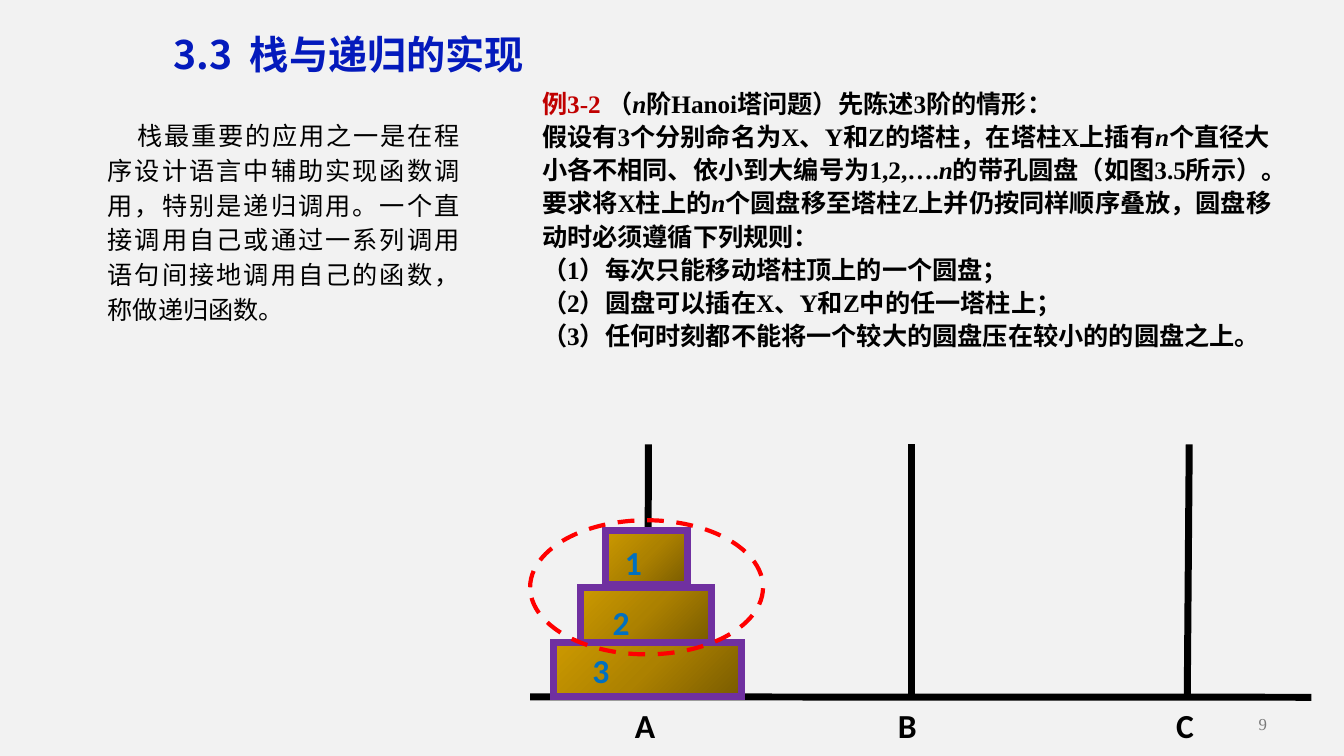
import copy
import dataclasses

import pptx
import pptx.dml.color
import pptx.enum.dml
import pptx.enum.shapes
import pptx.enum.text
import pptx.oxml.ns
import pptx.util
import lxml.etree

Cm = pptx.util.Cm
Pt = pptx.util.Pt
RGB = pptx.dml.color.RGBColor.from_string
qn = pptx.oxml.ns.qn
Align = pptx.enum.text.PP_ALIGN
Anchor = pptx.enum.text.MSO_ANCHOR
Shape = pptx.enum.shapes.MSO_SHAPE


@dataclasses.dataclass(frozen=True)
class Theme:
    background: str = "F2F2F2"
    ink: str = "000000"
    title: str = "041ABC"
    accent: str = "C00000"
    number: str = "0070C0"
    page: str = "797979"
    disk_line: str = "7030A0"
    disk_fill: tuple = ((0, "795B00"), (0.5, "AC8100"), (1, "CC9900"))
    highlight: str = "FF0000"
    serif: str = "Times New Roman"
    chinese: str = "Noto Sans CJK SC"
    label: str = "Calibri"
    title_size: int = 28
    label_size: int = 24
    body_size: int = 18
    page_size: int = 12


theme = Theme()


def place(shape, left, top, width, height, wrap=True, anchor=Anchor.TOP):
    shape.left, shape.top = Cm(left), Cm(top)
    shape.width, shape.height = Cm(width), Cm(height)
    frame = shape.text_frame
    frame.word_wrap = wrap
    frame.auto_size = pptx.enum.text.MSO_AUTO_SIZE.NONE
    frame.vertical_anchor = anchor
    return frame


def style(paragraph, font_name, size, color, bold=False, align=Align.LEFT):
    paragraph.alignment = align
    font = paragraph.font
    font.name = font_name
    font.size = Pt(size)
    font.bold = bold
    font.color.rgb = RGB(color)
    properties = paragraph._p.pPr.find(qn("a:defRPr"))
    east_asian = lxml.etree.Element(qn("a:ea"), typeface=theme.chinese)
    properties.find(qn("a:latin")).addnext(east_asian)


presentation = pptx.Presentation()
presentation.slide_width = Cm(33.87)
presentation.slide_height = Cm(19.05)
slide = presentation.slides.add_slide(presentation.slide_layouts[1])
slide.background.fill.solid()
slide.background.fill.fore_color.rgb = RGB(theme.background)
shapes = slide.shapes

page_box = shapes.add_textbox(0, 0, 0, 0)
frame = place(page_box, 24.56, 17.73, 7.62, 1.02, anchor=Anchor.MIDDLE)
frame.text = "9"
style(frame.paragraphs[0], theme.serif, theme.page_size, theme.page, align=Align.RIGHT)

frame = place(slide.placeholders[1], 2.46, 2.79, 9.38, 5.51)
frame.text = (
    "栈最重要的应用之一是在程序设计语言中辅助实现函数调用，特别是递归调用。"
    "一个直接调用自己或通过一系列调用语句间接地调用自己的函数，称做递归函数。"
)
paragraph = frame.paragraphs[0]
properties = paragraph._p.get_or_add_pPr()
properties.set("marL", "0")
properties.set("indent", str(Cm(0.74)))
lxml.etree.SubElement(properties, qn("a:buNone"))
paragraph.space_before = Pt(0)
paragraph.line_spacing = 1.15
style(paragraph, theme.serif, theme.body_size, theme.ink, align=Align.JUSTIFY)

frame = place(shapes.title, 3.73, 0.64, 10.11, 1.45)
frame.text = "3.3  栈与递归的实现"
style(frame.paragraphs[0], theme.chinese, theme.title_size, theme.title, True, Align.CENTER)

example_lines = [
    ["例3-2 ", "（", "n", "阶Hanoi塔问题）先陈述3阶的情形："],
    ["假设有3个分别命名为X、Y和Z的塔柱，在塔柱X上插有", "n", "个直径大"],
    ["小各不相同、依小到大编号为1,2,….", "n", "的带孔圆盘（如图3.5所示）。"],
    ["要求将X柱上的", "n", "个圆盘移至塔柱Z上并仍按同样顺序叠放，圆盘移"],
    ["动时必须遵循下列规则："],
    ["（1）每次只能移动塔柱顶上的一个圆盘；"],
    ["（2）圆盘可以插在X、Y和Z中的任一塔柱上；"],
    ["（3）任何时刻都不能将一个较大的圆盘压在较小的的圆盘之上。"],
]
example_box = shapes.add_textbox(0, 0, 0, 0)
frame = place(example_box, 13.41, 2.01, 19.58, 6.96, anchor=Anchor.MIDDLE)
for index, pieces in enumerate(example_lines):
    paragraph = frame.add_paragraph() if index else frame.paragraphs[0]
    paragraph._p.get_or_add_pPr().set("hangingPunct", "0")
    paragraph.line_spacing = 1.1
    style(paragraph, theme.serif, theme.body_size, theme.ink, True)
    for piece in pieces:
        run = paragraph.add_run()
        run.text = piece
        if piece == "n":
            run.font.italic = True
        if piece.startswith("例"):
            run.font.color.rgb = RGB(theme.accent)

connectors = []
for start_x, start_y, end_x, end_y in [
    (13.36, 17.56, 33.05, 17.57),
    (16.34, 11.2, 16.31, 17.55),
    (22.96, 11.2, 22.96, 17.55),
    (29.97, 11.2, 29.92, 17.55),
]:
    connector = shapes.add_connector(
        pptx.enum.shapes.MSO_CONNECTOR.STRAIGHT,
        Cm(start_x), Cm(start_y), Cm(end_x), Cm(end_y),
    )
    connector.line.color.rgb = RGB(theme.ink)
    connector.line.width = Pt(5)
    lxml.etree.SubElement(connector._element.spPr, qn("a:effectLst"))
    connectors.append(connector)
base, tower_a, tower_b, tower_c = connectors

for number, disk_bounds, number_bounds in [
    ("1", (15.26, 13.36, 2.08, 1.37), (15.5, 13.54, 0.58, 1.27)),
    ("2", (14.63, 14.81, 3.3, 1.37), (15.19, 15.04, 0.58, 1.27)),
    ("3", (13.95, 16.18, 4.75, 1.38), (14.68, 16.26, 0.58, 2.31)),
]:
    disk = shapes.add_shape(Shape.RECTANGLE, *map(Cm, disk_bounds))
    disk.shadow.inherit = False
    disk.fill.gradient()
    first_stop = disk._element.spPr.find(".//" + qn("a:gs"))
    first_stop.addnext(copy.deepcopy(first_stop))
    for stop, (position, color) in zip(disk.fill.gradient_stops, theme.disk_fill):
        stop.position = position
        stop.color.rgb = RGB(color)
    disk.fill.gradient_angle = 135
    disk.line.color.rgb = RGB(theme.disk_line)
    disk.line.width = Pt(5)
    lxml.etree.SubElement(disk._element.spPr.find(qn("a:ln")), qn("a:miter"), lim="800000")
    frame = place(shapes.add_textbox(0, 0, 0, 0), *number_bounds)
    frame.text = number
    style(frame.paragraphs[0], theme.label, theme.label_size, theme.number, True)
tower_a.end_connect(disk, 2)

for name, left, width in [("A", 15.75, 1.04), ("C", 29.39, 0.97), ("B", 22.38, 0.99)]:
    frame = place(shapes.add_textbox(0, 0, 0, 0), left, 17.63, width, 1.27, wrap=False)
    frame.text = name
    style(frame.paragraphs[0], theme.label, theme.label_size, theme.ink, True)

highlight = shapes.add_shape(Shape.OVAL, Cm(13.36), Cm(13.11), Cm(5.87), Cm(3.38))
highlight.shadow.inherit = False
highlight.fill.background()
highlight.line.color.rgb = RGB(theme.highlight)
highlight.line.width = Pt(3)
highlight.line.dash_style = pptx.enum.dml.MSO_LINE.DASH

presentation.save("out.pptx")
